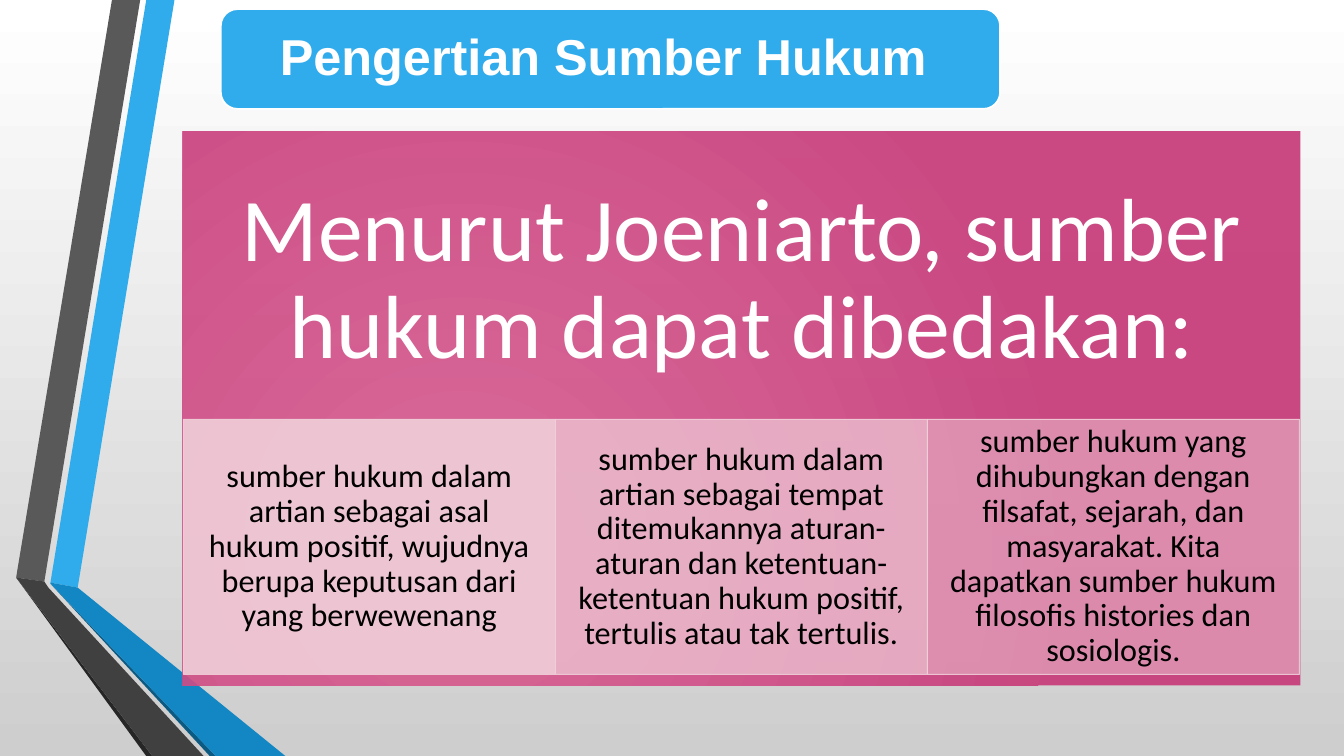
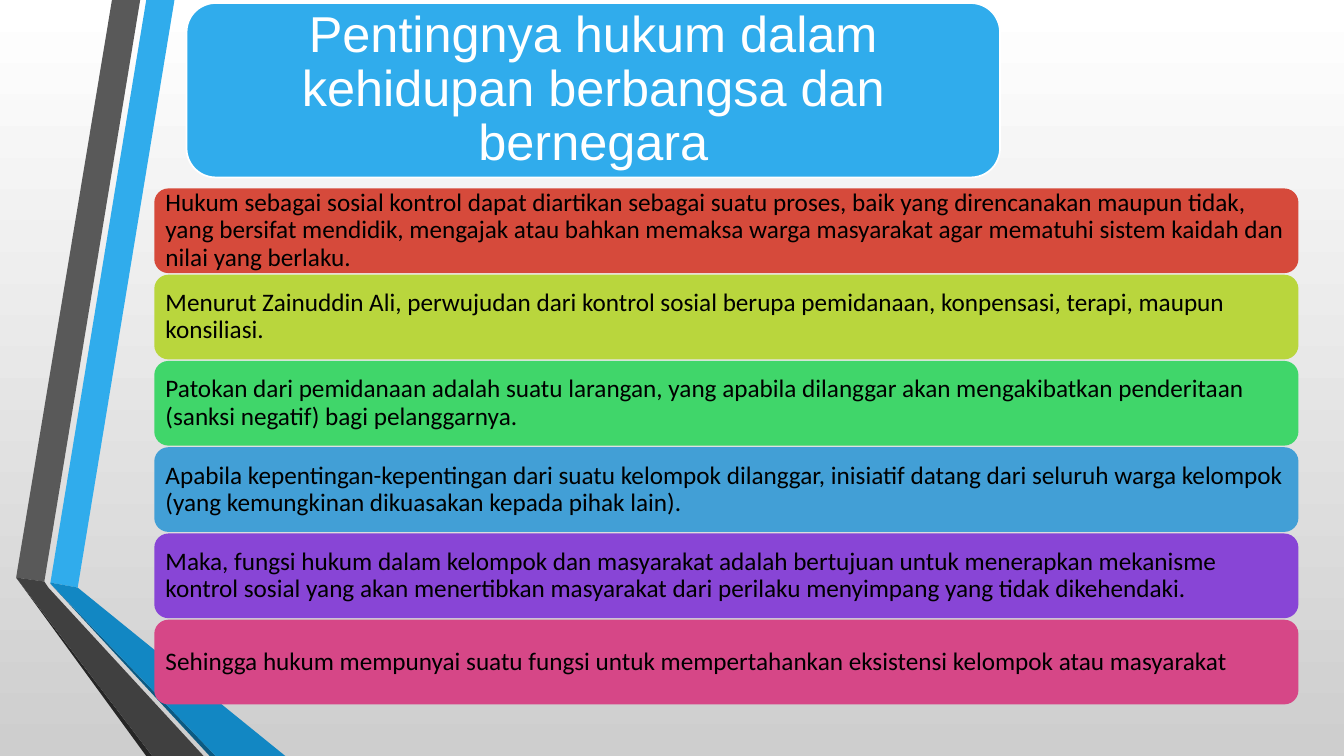
from dataclasses import dataclass

from lxml.etree import SubElement
from pptx import Presentation
from pptx.dml.color import RGBColor
from pptx.enum.shapes import MSO_SHAPE
from pptx.enum.text import MSO_ANCHOR, MSO_AUTO_SIZE, PP_ALIGN
from pptx.oxml.ns import qn
from pptx.util import Inches, Pt


@dataclass(frozen=True)
class Theme:
    white: str = "FFFFFF"
    ink: str = "000000"
    backdrop_end: str = "CECECE"
    blue: str = "30ACEC"
    panel_start: str = "D95F92"
    panel_end: str = "C63777"
    column: str = "F0CFD9"
    rows: tuple = ("D64A3B", "B9D63D", "40D66A", "429FD6", "8845D6", "D64787")
    heading_font: str = "Arial"
    body_font: str = "Calibri"
    title_size: int = 36
    header_size: int = 64
    column_size: int = 23
    row_size: int = 18


theme = Theme()
rgb = RGBColor.from_string

# Text styles: font, size, colour, alignment, side and top insets in inches
title_style = dict(name=theme.heading_font, size=theme.title_size, color=theme.white,
                   align=PP_ALIGN.CENTER, inset=(0.15, 0.15))
header_style = dict(name=theme.body_font, size=theme.header_size, color=theme.white,
                    align=PP_ALIGN.CENTER, inset=(0.5, 0.5))
column_style = dict(name=theme.body_font, size=theme.column_size, color=theme.ink,
                    align=PP_ALIGN.CENTER, inset=(0.18, 0.03))
row_style = dict(name=theme.body_font, size=theme.row_size, color=theme.ink,
                 align=PP_ALIGN.LEFT, inset=(0.07, 0.07))

deck = Presentation()
deck.slide_width, deck.slide_height = Inches(13.33), Inches(7.5)
across, down = deck.slide_width / 100, deck.slide_height / 100


def place(left, top, width, height):
    """Turn percentages of the slide into a position and a size."""
    return int(left * across), int(top * down), int(width * across), int(height * down)


def write(holder, text, style, bold=False):
    frame = holder.text_frame
    frame.text = text
    paragraph = frame.paragraphs[0]
    side, top = (Inches(inset) for inset in style["inset"])
    formats = (
        (frame, dict(word_wrap=True, auto_size=MSO_AUTO_SIZE.NONE,
                     vertical_anchor=MSO_ANCHOR.MIDDLE, margin_left=side,
                     margin_right=side, margin_top=top, margin_bottom=top)),
        (paragraph, dict(alignment=style["align"], line_spacing=0.9)),
        (paragraph.runs[0].font, dict(name=style["name"], size=Pt(style["size"]), bold=bold)),
    )
    for target, values in formats:
        for key, value in values.items():
            setattr(target, key, value)
    paragraph.runs[0].font.color.rgb = rgb(style["color"])


# Shared backdrop
master = deck.slide_master
backdrop = master.background.fill
backdrop.gradient()
backdrop.gradient_angle = 270
for stop, color in zip(backdrop.gradient_stops, (theme.white, theme.backdrop_end)):
    stop.color.rgb = rgb(color)

# Slides with their titles, on blue plates
titles = (
    ("Pengertian Sumber Hukum ", True, (16.43, 1.2, 57.98, 13.2)),
    ("Pentingnya hukum dalam kehidupan berbangsa dan bernegara", False,
     (13.88, 0.4, 60.53, 23.07)),
)
slides = []
for text, bold, area in titles:
    slide = deck.slides.add_slide(deck.slide_layouts[5])
    plate = slide.shapes.add_shape(MSO_SHAPE.ROUNDED_RECTANGLE, *place(*area))
    plate.shadow.inherit = False
    plate.fill.solid()
    plate.fill.fore_color.rgb = rgb(theme.blue)
    plate.line.color.rgb = rgb(theme.white)
    plate.line.width = Pt(1.25)
    title = slide.shapes.title
    title.left, title.top, title.width, title.height = place(*area)
    write(title, text, title_style, bold)
    slide.shapes.element.append(title.element)
    slides.append(slide)
sources, importance = slides

# Folded ribbons at the left edge, moved to the master; points in percent
ribbons = (
    (theme.blue, [(3.75, 77.07), (5.78, 77.73), (12.98, 0), (10.88, 0)]),
    ("595959", [(10.43, 0), (8.33, 0), (1.2, 76.4), (3.3, 76.93)]),
    ("262626", [(1.2, 76.4), (10.88, 100), (11.33, 100)]),
    ("0C5A82", [(3.75, 77.2), (15.6, 100), (16.05, 100)]),
    ("1287C3", [(3.75, 77.2), (16.05, 100), (21.23, 100), (5.78, 77.73), (3.75, 77.07)]),
    ("404040", [(15.15, 100), (3.6, 77.73), (3.3, 76.93), (1.2, 76.4), (11.33, 100)]),
)
for order, (color, points) in enumerate(ribbons):
    corners = [(x * across, y * down) for x, y in points]
    outline = sources.shapes.build_freeform(*corners[0])
    outline.add_line_segments(corners[1:], close=True)
    ribbon = outline.convert_to_shape()
    ribbon.shadow.inherit = False
    ribbon.fill.solid()
    ribbon.fill.fore_color.rgb = rgb(color)
    ribbon.line.fill.background()
    ribbon.element.nvSpPr.cNvPr.set("id", str(100 + order))
    master.shapes.element.insert(2 + order, ribbon.element)

# Sources of law: panel with a radial gradient
panel = sources.shapes.add_shape(MSO_SHAPE.RECTANGLE, *place(13.58, 17.33, 83.18, 73.33))
panel.shadow.inherit = False
panel.line.fill.background()
panel.fill.gradient()
for stop, color in zip(panel.fill.gradient_stops, (theme.panel_start, theme.panel_end)):
    stop.color.rgb = rgb(color)
for tint in panel.element.iter(qn("a:srgbClr")):
    SubElement(tint, qn("a:alpha"), val="90000")
gradient = panel.element.spPr.find(qn("a:gradFill"))
gradient.remove(gradient.find(qn("a:lin")))
radial = SubElement(gradient, qn("a:path"), path="circle")
SubElement(radial, qn("a:fillToRect"), l="50000", t="100000", r="100000", b="50000")

header = sources.shapes.add_textbox(*place(13.58, 17.33, 83.18, 39.6))
write(header, "Menurut Joeniarto, sumber hukum dapat dibedakan:", header_style)

# Three columns, each more transparent than the one before
meanings = (
    "sumber hukum dalam artian sebagai asal hukum positif, wujudnya berupa keputusan "
    "dari yang berwewenang",
    "sumber hukum dalam artian sebagai tempat ditemukannya aturan-aturan dan "
    "ketentuan-ketentuan hukum positif, tertulis atau tak tertulis.",
    "sumber hukum yang dihubungkan dengan filsafat, sejarah, dan masyarakat. Kita "
    "dapatkan sumber hukum filosofis histories dan sosiologis.",
)
column_width = 27.68
for number, meaning in enumerate(meanings):
    column = sources.shapes.add_shape(
        MSO_SHAPE.RECTANGLE,
        *place(13.65 + number * column_width, 55.47, column_width, 33.73))
    column.shadow.inherit = False
    column.fill.solid()
    column.fill.fore_color.rgb = rgb(theme.column)
    column.line.color.rgb = rgb(theme.column)
    column.line.width = Pt(0.75)
    opacities = (90 - 20 * number, 90)
    for tint, opacity in zip(column.element.spPr.iter(qn("a:srgbClr")), opacities):
        SubElement(tint, qn("a:alpha"), val=str(opacity * 1000))
    write(column, meaning, column_style)

# Importance of law: a stack of coloured rows
points = (
    "Hukum sebagai sosial kontrol dapat diartikan sebagai suatu proses, baik yang "
    "direncanakan maupun tidak, yang bersifat mendidik, mengajak atau bahkan memaksa "
    "warga masyarakat agar mematuhi sistem kaidah dan nilai yang berlaku.",
    "Menurut Zainuddin Ali, perwujudan dari kontrol sosial berupa pemidanaan, "
    "konpensasi, terapi, maupun konsiliasi.",
    "Patokan dari pemidanaan adalah suatu larangan, yang apabila dilanggar akan "
    "mengakibatkan penderitaan (sanksi negatif) bagi pelanggarnya.",
    "Apabila kepentingan-kepentingan dari suatu kelompok dilanggar, inisiatif datang "
    "dari seluruh warga kelompok (yang kemungkinan dikuasakan kepada pihak lain).",
    "Maka, fungsi hukum dalam kelompok dan masyarakat adalah bertujuan untuk menerapkan "
    "mekanisme kontrol sosial yang akan menertibkan masyarakat dari perilaku menyimpang "
    "yang tidak dikehendaki.",
    "Sehingga hukum mempunyai suatu fungsi untuk mempertahankan eksistensi kelompok "
    "atau masyarakat",
)
row_height, row_pitch = 11.2, 11.41
for number, (point, color) in enumerate(zip(points, theme.rows)):
    row = importance.shapes.add_shape(
        MSO_SHAPE.ROUNDED_RECTANGLE,
        *place(11.48, 24.93 + number * row_pitch, 85.13, row_height))
    row.shadow.inherit = False
    row.fill.solid()
    row.fill.fore_color.rgb = rgb(color)
    row.line.fill.background()
    write(row, point, row_style)

deck.save("out.pptx")
